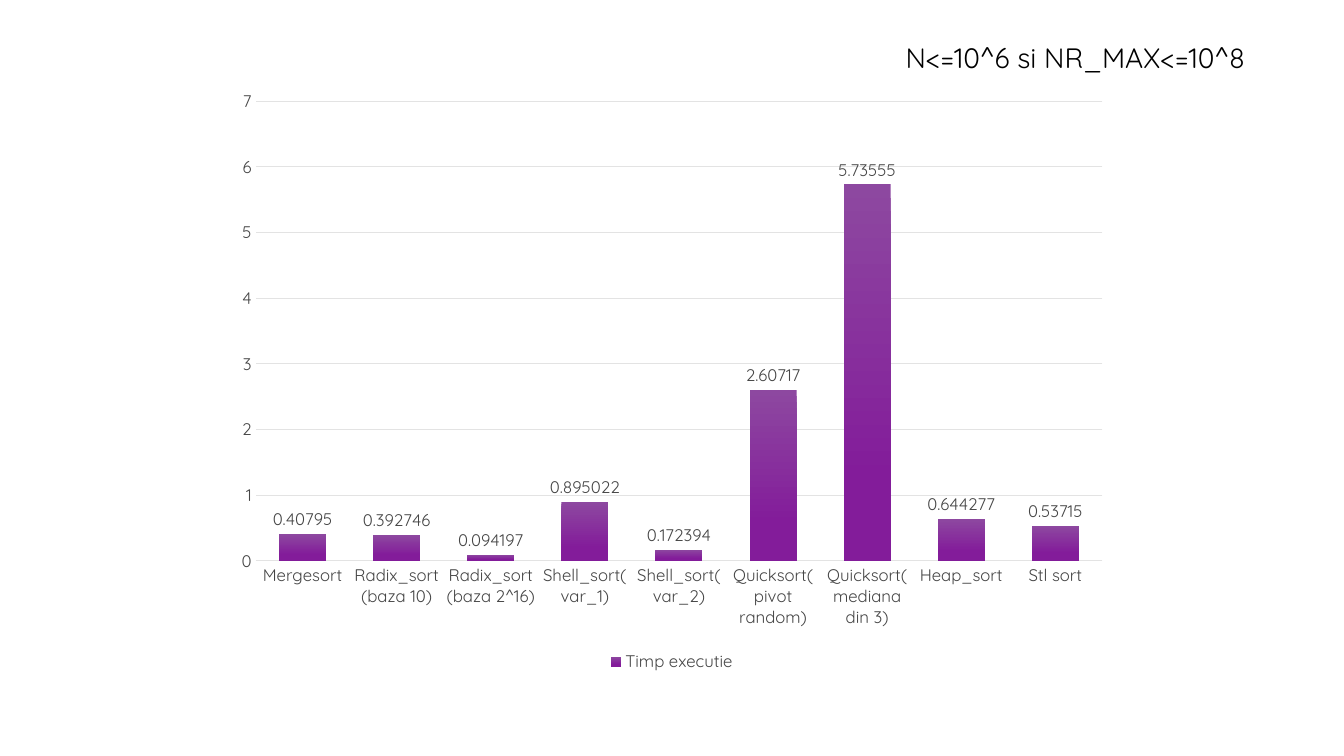
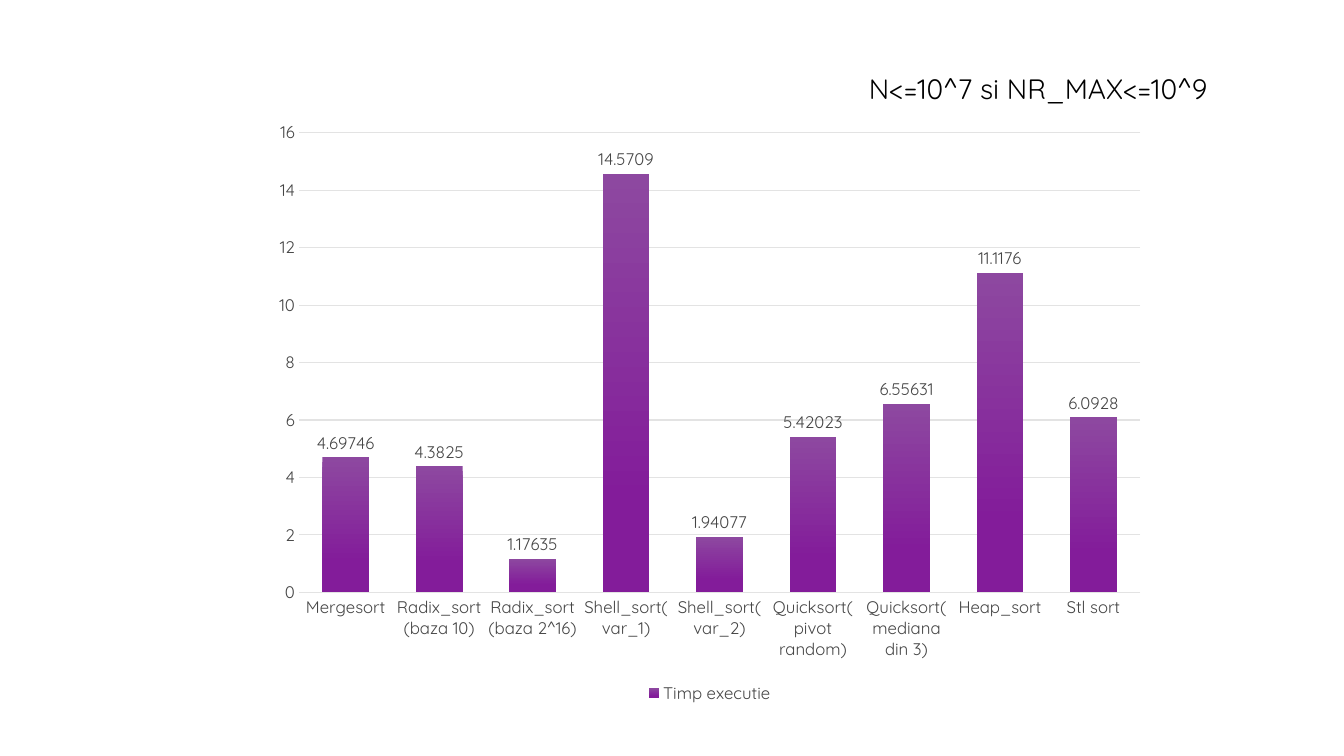
from dataclasses import dataclass

from pptx import Presentation
from pptx import util as u
from pptx.chart.data import CategoryChartData
from pptx.dml.color import RGBColor
from pptx.enum import chart as ch

EMU_PER_PX = 9525  # 96 px to the inch


@dataclass(frozen=True)
class Theme:
    font: str = "Quicksand"
    title_color: str = "000000"
    label_color: str = "454545"
    grid_color: str = "E3E3E3"
    bar_top: str = "8D48A0"
    bar_bottom: str = "831C9A"
    title_pt: int = 20
    label_pt: int = 12
    line_pt: float = 0.75


@dataclass(frozen=True)
class Benchmark:
    title: str
    title_at: tuple[int, int]
    chart_at: tuple[int, int]
    axis_max: int
    axis_step: int
    seconds: tuple[float, ...]


THEME = Theme()
SLIDE_SIZE = (1280, 720)
CHART_SIZE = (854, 569)
TITLE_SIZE = (427, 42)
SERIES_NAME = "Timp executie"
ALGORITHMS = (
    "Mergesort", "Radix_sort(baza 10)", "Radix_sort(baza 2^16)",
    "Shell_sort(var_1)", "Shell_sort(var_2)", "Quicksort(pivot random)",
    "Quicksort(mediana din 3)", "Heap_sort", "Stl sort",
)
BENCHMARKS = (
    Benchmark("N<=10^6 si NR_MAX<=10^8", (853, 34), (213, 75), 7, 1,
              (0.40795, 0.392746, 0.094197, 0.895022, 0.172394,
               2.60717, 5.73555, 0.644277, 0.53715)),
    Benchmark("N<=10^7 si NR_MAX<=10^9", (818, 63), (249, 105), 16, 2,
              (4.69746, 4.3825, 1.17635, 14.5709, 1.94077,
               5.42023, 6.55631, 11.1176, 6.0928)),
)


def px(*lengths: int) -> list[u.Emu]:
    return [u.Emu(n * EMU_PER_PX) for n in lengths]


def style_font(font, size: int, color: str) -> None:
    font.name = THEME.font
    font.size = u.Pt(size)
    font.color.rgb = RGBColor.from_string(color)


def style_line(line) -> None:
    line.color.rgb = RGBColor.from_string(THEME.grid_color)
    line.width = u.Pt(THEME.line_pt)


def add_title(s, bench: Benchmark) -> None:
    tf = s.shapes.add_textbox(*px(*bench.title_at, *TITLE_SIZE)).text_frame
    tf.word_wrap = True
    p = tf.paragraphs[0]
    p.text = bench.title
    style_font(p.runs[0].font, THEME.title_pt, THEME.title_color)


def style_axes(chart, bench: Benchmark) -> None:
    for axis in (chart.category_axis, chart.value_axis):
        axis.major_tick_mark = axis.minor_tick_mark = ch.XL_TICK_MARK.NONE
        style_font(axis.tick_labels.font, THEME.label_pt, THEME.label_color)
    style_line(chart.category_axis.format.line)
    axis = chart.value_axis
    axis.format.line.fill.background()
    axis.has_major_gridlines = True
    style_line(axis.major_gridlines.format.line)
    axis.minimum_scale, axis.maximum_scale = 0, bench.axis_max
    axis.major_unit = bench.axis_step


def style_bars(plot) -> None:
    plot.gap_width, plot.overlap = 100, -24
    plot.vary_by_categories = False
    fill = plot.series[0].format.fill
    fill.gradient()
    fill.gradient_angle = 270  # top to bottom
    stops = ((0, THEME.bar_top), (0.78, THEME.bar_bottom))
    for stop, (position, color) in zip(fill.gradient_stops, stops):
        stop.position = position
        stop.color.rgb = RGBColor.from_string(color)
    plot.has_data_labels = True
    labels = plot.data_labels
    labels.show_value = True
    labels.position = ch.XL_LABEL_POSITION.OUTSIDE_END
    style_font(labels.font, THEME.label_pt, THEME.label_color)


def add_chart(s, bench: Benchmark) -> None:
    data = CategoryChartData()
    data.categories = ALGORITHMS
    data.add_series(SERIES_NAME, bench.seconds)
    chart = s.shapes.add_chart(ch.XL_CHART_TYPE.COLUMN_CLUSTERED,
                               *px(*bench.chart_at, *CHART_SIZE), data).chart
    style_font(chart.font, THEME.label_pt, THEME.label_color)
    chart.has_title = False
    chart.has_legend = True
    chart.legend.position = ch.XL_LEGEND_POSITION.BOTTOM
    chart.legend.include_in_layout = False
    style_font(chart.legend.font, THEME.label_pt, THEME.label_color)
    style_axes(chart, bench)
    style_bars(chart.plots[0])


def main() -> None:
    prs = Presentation()
    prs.slide_width, prs.slide_height = px(*SLIDE_SIZE)
    for bench in BENCHMARKS:
        s = prs.slides.add_slide(prs.slide_layouts[6])
        add_chart(s, bench)
        add_title(s, bench)
    prs.save("out.pptx")


if __name__ == "__main__":
    main()
